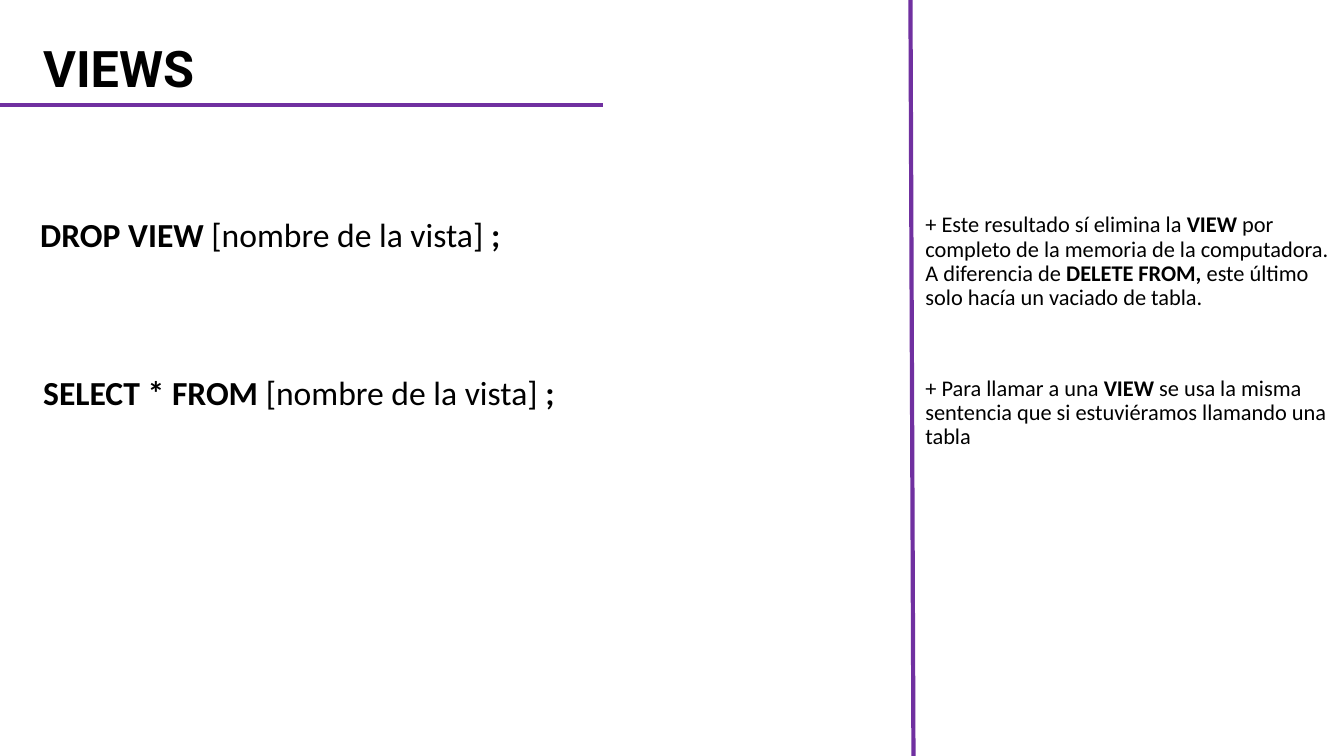
from dataclasses import dataclass

from lxml.etree import SubElement
from pptx import Presentation
from pptx.dml.color import RGBColor
from pptx.enum.shapes import MSO_CONNECTOR as Connector
from pptx.enum.text import MSO_ANCHOR as Anchor
from pptx.oxml.ns import qn
from pptx.slide import Slide
from pptx.util import Pt

PX = 9144  # 100 px to the inch
BLACK = RGBColor(0x00, 0x00, 0x00)
PURPLE = RGBColor(0x70, 0x30, 0xA0)


@dataclass(frozen=True)
class Span:
    text: str
    bold: bool = False


@dataclass(frozen=True)
class TextBlock:
    left: int
    top: int
    width: int
    height: int
    size: int
    spans: tuple[Span, ...]
    font: str = "Calibri"
    space_before: int = 10
    anchor: Anchor = Anchor.TOP


@dataclass(frozen=True)
class Rule:
    start: tuple[int, int]
    end: tuple[int, int]


def statement(left: int, top: int, command: str) -> TextBlock:
    """An SQL statement on a view, in the left column."""
    spans = (Span(command, True), Span(" [nombre de la vista] "), Span(";", True))
    return TextBlock(left, top, 871, 58, 24, spans)


def note(top: int, *spans: Span) -> TextBlock:
    """An explanation in the right column."""
    return TextBlock(908, top, 427, 126, 16, spans)


TITLE = TextBlock(33, 30, 1000, 73, 36, (Span("VIEWS", True),),
                  font="Roboto", space_before=0, anchor=Anchor.BOTTOM)
BLOCKS = (
    TITLE,
    statement(30, 212, "DROP VIEW"),
    note(
        207,
        Span("+ Este resultado sí elimina la "),
        Span("VIEW", True),
        Span(" por completo de la memoria de la computadora. A diferencia de "),
        Span("DELETE FROM, ", True),
        Span("este último solo hacía un vaciado de tabla."),
    ),
    statement(33, 369, "SELECT * FROM"),
    note(
        369,
        Span("+ Para llamar a una "),
        Span("VIEW", True),
        Span(" se usa la misma sentencia que si estuviéramos llamando una tabla"),
    ),
)
RULES = (
    Rule((0, 104), (598, 104)),  # under the title
    Rule((906, 750), (903, 0)),  # between the columns
)


def draw_rule(page: Slide, rule: Rule) -> None:
    ends = [value * PX for value in rule.start + rule.end]
    line = page.shapes.add_connector(Connector.STRAIGHT, *ends)
    line.line.color.rgb = PURPLE
    line.line.width = Pt(3)
    SubElement(line._element.spPr, qn("a:effectLst"))


def draw_block(page: Slide, block: TextBlock) -> None:
    frame = (block.left, block.top, block.width, block.height)
    box = page.shapes.add_textbox(*(value * PX for value in frame))
    box.text_frame.word_wrap = True
    box.text_frame.vertical_anchor = block.anchor
    para = box.text_frame.paragraphs[0]
    para.line_spacing = 0.9
    para.space_before = Pt(block.space_before)
    for span in block.spans:
        run = para.add_run()
        run.text = span.text
        formats = {"name": block.font, "size": Pt(block.size), "bold": span.bold}
        for key, value in formats.items():
            setattr(run.font, key, value)
        run.font.color.rgb = BLACK


def main() -> None:
    deck = Presentation()
    deck.slide_width, deck.slide_height = 1333 * PX, 750 * PX
    page = deck.slides.add_slide(deck.slide_layouts[6])

    # Purple rules
    for rule in RULES:
        draw_rule(page, rule)

    # Title, statements and notes
    for block in BLOCKS:
        draw_block(page, block)

    deck.save("out.pptx")


if __name__ == "__main__":
    main()
